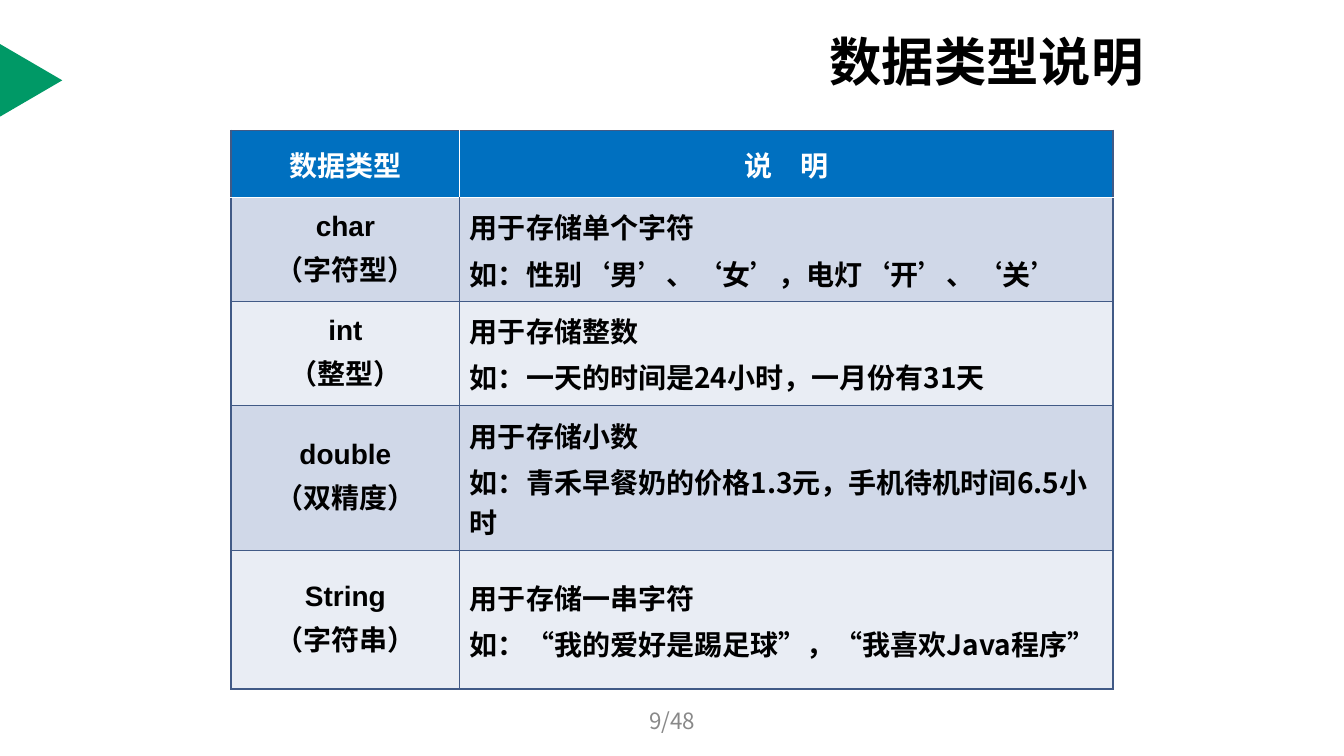
"""Build a slide that explains four data types in a table."""
from itertools import groupby

from lxml import etree
from pptx import Presentation
from pptx import util as u
from pptx.dml.color import RGBColor
from pptx.enum import shapes, text
from pptx.oxml import ns

HUES = {"black": "000000", "white": "FFFFFF", "green": "009966", "head": "0070C0",
        "odd": "D0D8E8", "even": "E9EDF4", "edge": "415A86", "grey": "898989"}
HAN, LATIN = "Noto Sans CJK SC", "Arial"
QUOTES = "‘’“”"
MID = text.MSO_ANCHOR.MIDDLE
LEFT, MIDDLE = text.PP_ALIGN.LEFT, text.PP_ALIGN.CENTER
COLS = (5.77, 16.46)
ROWS = (1.7, 2.62, 2.62, 3.66, 3.48)
HEAD = ("数据类型", "说　明")
TYPES = (
    ("char\n（字符型）", "用于存储单个字符\n如：性别‘男’、‘女’，电灯‘开’、‘关’"),
    ("int\n（整型）", "用于存储整数\n如：一天的时间是24小时，一月份有31天"),
    ("double\n（双精度）", "用于存储小数\n如：青禾早餐奶的价格1.3元，手机待机时间6.5小时"),
    ("String\n（字符串）", "用于存储一串字符\n如：“我的爱好是踢足球”，“我喜欢Java程序”"),
)


def hue(name):
    return RGBColor.from_string(HUES[name])


def style(run, size, color, bold=True, latin=HAN):
    font = run.font
    font.size, font.bold, font.name = u.Pt(size), bold, latin
    font.color.rgb = hue(color)
    east = etree.SubElement(run._r.get_or_add_rPr(), ns.qn("a:ea"))
    east.set("typeface", HAN)


def label(shape, words, size, color, bold, align):
    frame = shape.text_frame
    frame.text = words
    frame.word_wrap = False
    frame.auto_size = text.MSO_AUTO_SIZE.NONE
    frame.vertical_anchor = MID
    para = frame.paragraphs[0]
    para.alignment = align
    style(para.runs[0], size, color, bold)


def edge(cell, sides):
    props = cell._tc.get_or_add_tcPr()
    for spot, side in enumerate(sides):
        line = etree.Element(ns.qn("a:ln" + side), w=str(u.Pt(1)))
        fill = etree.SubElement(line, ns.qn("a:solidFill"))
        etree.SubElement(fill, ns.qn("a:srgbClr"), val=HUES["edge"])
        props.insert(spot, line)


def fill_cell(cell, words, back, color, align, latin, sides):
    cell.fill.solid()
    cell.fill.fore_color.rgb = hue(back)
    cell.vertical_anchor = MID
    edge(cell, sides)
    cell.text_frame.text = words
    for para in cell.text_frame.paragraphs:
        para.alignment, para.space_before = align, u.Pt(4)
        line = para.text
        para.clear()
        for quote, part in groupby(line, lambda char: char in QUOTES):
            run = para.add_run()
            run.text = "".join(part)
            style(run, 20, color, latin=LATIN if quote else latin)


def add_grid(slide):
    grid = slide.shapes.add_table(len(ROWS), len(COLS), u.Cm(5.82), u.Cm(3.28),
                                  u.Cm(sum(COLS)), u.Cm(sum(ROWS))).table
    for col, width in zip(grid.columns, COLS):
        col.width = u.Cm(width)
    for row, height in zip(grid.rows, ROWS):
        row.height = u.Cm(height)
    for cell, words, side in zip(grid.rows[0].cells, HEAD, "LR"):
        fill_cell(cell, words, "head", "white", MIDDLE, HAN, (side, "T"))
    for num, (kind, note) in enumerate(TYPES, 1):
        back = "odd" if num % 2 else "even"
        sides = "LRB" if num == 1 else "LRTB"
        fill_cell(grid.cell(num, 0), kind, back, "black", MIDDLE, LATIN, sides)
        fill_cell(grid.cell(num, 1), note, back, "black", LEFT, HAN, sides)


def add_mark(slide):
    mark = slide.shapes.add_shape(shapes.MSO_SHAPE.ISOSCELES_TRIANGLE,
                                  u.Cm(-0.13), u.Cm(1.24), u.Cm(1.83), u.Cm(1.57))
    mark.rotation = 90
    mark.shadow.inherit = False
    mark.fill.solid()
    mark.fill.fore_color.rgb = hue("green")
    mark.line.fill.background()


def add_title(slide):
    title = slide.shapes.title
    title.left, title.top = u.Cm(20.65), u.Cm(0.79)
    title.width, title.height = u.Cm(8.48), u.Cm(1.45)
    label(title, "数据类型说明", 37.4, "black", True, LEFT)


def add_page(slide):
    box = slide.shapes.add_textbox(u.Cm(11.58), u.Cm(17.65), u.Cm(10.72), u.Cm(1.02))
    label(box, "9/48", 16, "grey", False, MIDDLE)


def main():
    deck = Presentation()
    deck.slide_width, deck.slide_height = u.Cm(33.87), u.Cm(19.05)
    slide = deck.slides.add_slide(deck.slide_layouts[5])
    add_mark(slide)
    add_title(slide)
    add_grid(slide)
    add_page(slide)
    deck.save("out.pptx")


if __name__ == "__main__":
    main()
